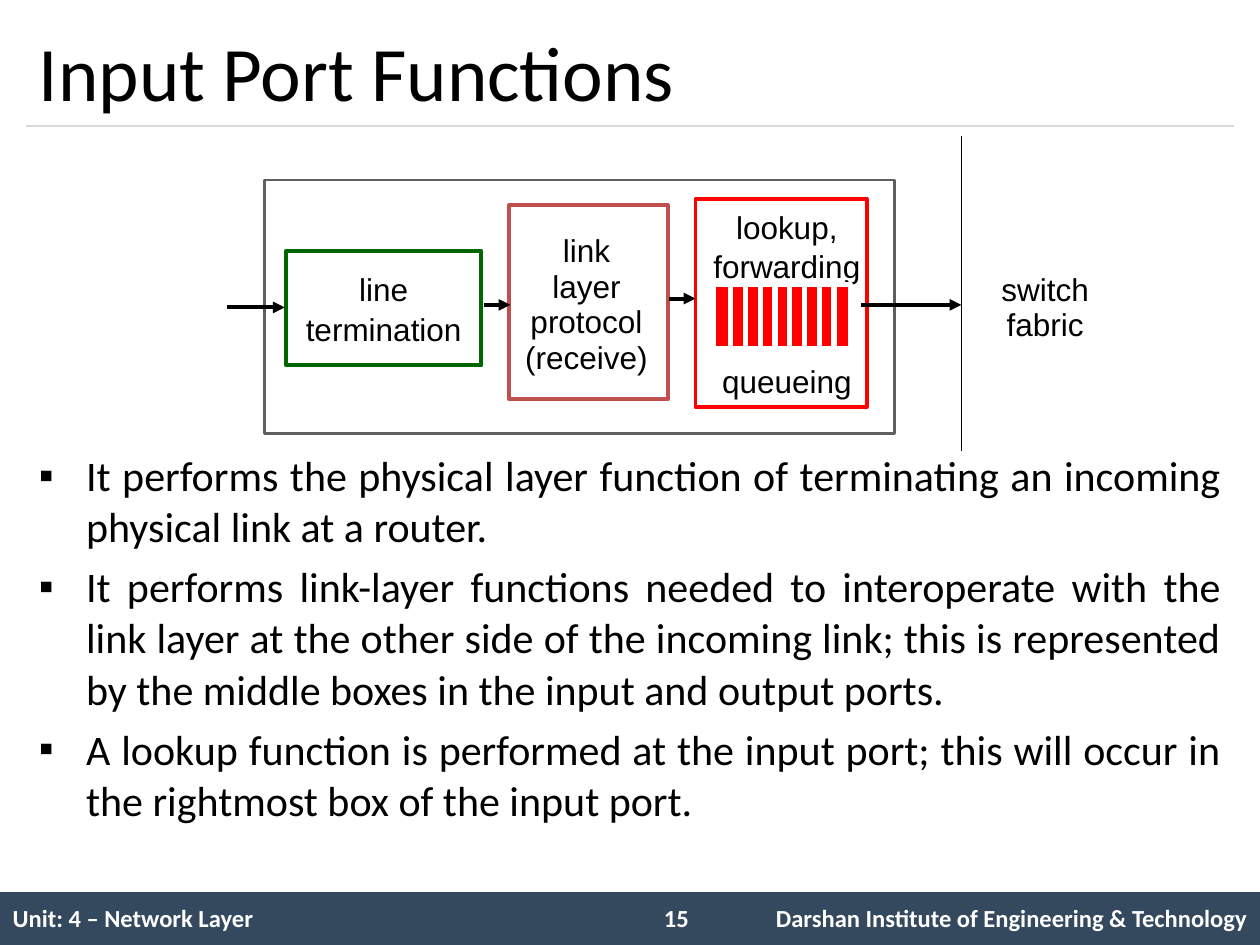
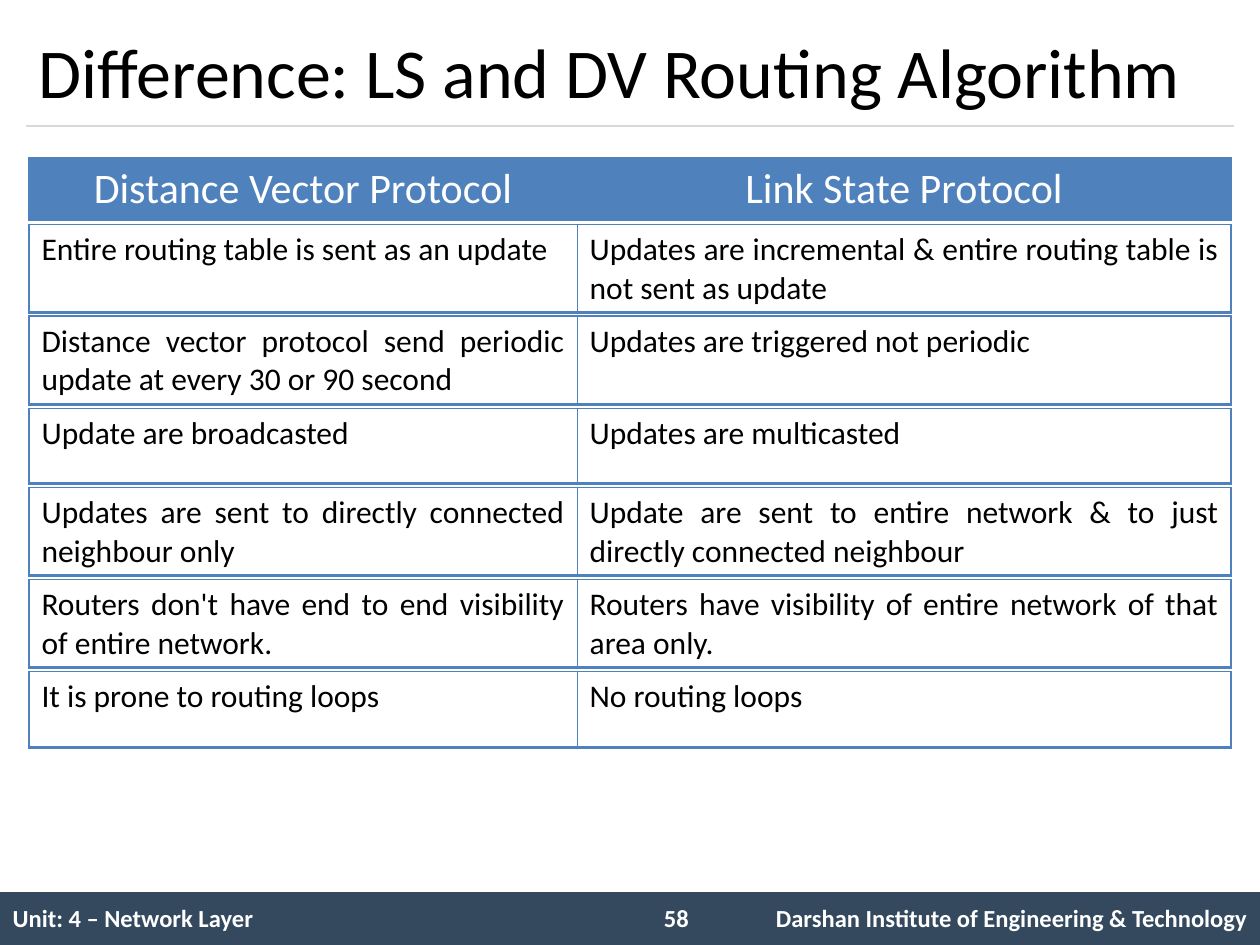
from lxml.etree import SubElement
from pptx import Presentation
from pptx.dml.color import RGBColor
from pptx.enum.shapes import MSO_CONNECTOR, MSO_SHAPE
from pptx.enum.text import MSO_ANCHOR as ANCHOR, PP_ALIGN as ALIGN
from pptx.oxml.ns import qn
from pptx.util import Inches, Pt

# The slide is a grid of 100 columns by 75 rows
WIDTH, HEIGHT = Inches(10), Inches(7.5)
COLS, ROWS = 100, 75

COLORS = {
    "black": "000000", "white": "FFFFFF", "rule": "D9D9D9", "band": "34495E",
    "port": "5F5F5F", "green": "006600", "brick": "C0504D", "red": "FF0000",
    "blue": "4F81BD",
}
HEADING, DIAGRAM = "Calibri", "Arial"
NO_STYLE = "{2D5ABB26-0587-4C30-8999-92F81FD0307C}"

BULLETS = [
    "It performs the physical layer function of terminating an incoming physical link at a router.",
    "It performs link-layer functions needed to interoperate with the link layer at the other side "
    "of the incoming link; this is represented by the middle boxes in the input and output ports.",
    "A lookup function is performed at the input port; this will occur in the rightmost box "
    "of the input port.",
]
PROTOCOLS = ["Distance Vector Protocol", "Link State Protocol"]
# Row height, then the two texts
DIFFERENCES = [
    (7, "Entire routing table is sent as an update",
     "Updates are incremental & entire routing table is not sent as update"),
    (7, "Distance vector protocol send periodic update at every 30 or 90 second",
     "Updates are triggered not periodic"),
    (6, "Update are broadcasted", "Updates are multicasted"),
    (7, "Updates are sent to directly connected neighbour only",
     "Update are sent to entire network & to just directly connected neighbour"),
    (7, "Routers don't have end to end visibility of entire network.",
     "Routers have visibility of entire network of that area only."),
    (6, "It is prone to routing loops", "No routing loops"),
]


def rgb(name):
    return RGBColor.from_string(COLORS[name])


def col(n):
    return round(WIDTH * n / COLS)


def row(n):
    return round(HEIGHT * n / ROWS)


def place(x, y, w, h):
    return col(x), row(y), col(w), row(h)


# Text
def write(tf, lines, size, font=HEADING, color="black", bold=False,
          align=ALIGN.LEFT, spacing=None, bullet=None, gaps=None):
    """Write one paragraph per line; gaps maps a line number to its space before."""
    for i, line in enumerate(lines):
        p = tf.paragraphs[0] if i == 0 else tf.add_paragraph()
        p.alignment = align
        if spacing:
            p.line_spacing = spacing
        if gaps and i in gaps:
            p.space_before = Pt(gaps[i])
        if bullet:
            pPr = p._p.get_or_add_pPr()
            pPr.set("marL", str(col(3.75)))
            pPr.set("indent", str(-col(3.75)))
            SubElement(pPr, qn("a:buFont"), typeface=DIAGRAM)
            SubElement(pPr, qn("a:buChar"), char=bullet)
        r = p.add_run()
        r.text = line
        r.font.name, r.font.size, r.font.bold = font, Pt(size), bold
        r.font.color.rgb = rgb(color)


def text_box(s, x, y, w, h, lines, size, anchor=ANCHOR.TOP, wrap=True, **style):
    tf = s.shapes.add_textbox(*place(x, y, w, h)).text_frame
    tf.word_wrap, tf.vertical_anchor = wrap, anchor
    write(tf, lines, size, **style)


# Shapes and lines
def box(s, x, y, w, h, fill="white", line=None, weight=2.25, lines=(), spacing=None):
    sp = s.shapes.add_shape(MSO_SHAPE.RECTANGLE, *place(x, y, w, h))
    sp.shadow.inherit = False
    sp.fill.solid()
    sp.fill.fore_color.rgb = rgb(fill)
    if line:
        sp.line.color.rgb = rgb(line)
        sp.line.width = Pt(weight)
    else:
        sp.line.fill.background()
    if lines:
        tf = sp.text_frame
        tf.word_wrap, tf.vertical_anchor = False, ANCHOR.MIDDLE
        write(tf, lines, 18, DIAGRAM, align=ALIGN.CENTER, spacing=spacing)


def rule(s, x1, y1, x2, y2, color="black", weight=0.75, arrow=False):
    c = s.shapes.add_connector(MSO_CONNECTOR.STRAIGHT, col(x1), row(y1), col(x2), row(y2))
    c.line.color.rgb = rgb(color)
    c.line.width = Pt(weight)
    if arrow:
        SubElement(c.line._get_or_add_ln(), qn("a:tailEnd"), type="triangle")
    SubElement(c._element.spPr, qn("a:effectLst"))


# Tables
def border(cell, **edges):
    tcPr = cell._tc.get_or_add_tcPr()
    for side in "LRTB":
        if side in edges:
            ln = SubElement(tcPr, qn("a:ln" + side), w=str(Pt(edges[side])))
            SubElement(SubElement(ln, qn("a:solidFill")), qn("a:srgbClr"), val=COLORS["blue"])


def one_row_table(s, x, y, h, widths):
    table = s.shapes.add_table(1, len(widths), *place(x, y, sum(widths), h)).table
    table.first_row = table.horz_banding = False
    table._tbl.tblPr.find(qn("a:tableStyleId")).text = NO_STYLE
    for column, width in zip(table.columns, widths):
        column.width = col(width)
    return table


def pair(s, y, h, texts, header=False):
    """One framed line of the comparison, two cells wide."""
    cells = one_row_table(s, 2.3, y, h, [43.5, 51.9]).rows[0].cells
    bottom = 1 if header else 2
    border(cells[0], L=1, R=0.5, T=1, B=bottom)
    border(cells[1], R=1, T=1, B=bottom)
    for cell, text in zip(cells, texts):
        if header:
            cell.fill.solid()
            cell.fill.fore_color.rgb = rgb("blue")
            write(cell.text_frame, [text], 24, color="white", align=ALIGN.CENTER)
        else:
            cell.fill.background()
            write(cell.text_frame, [text], 18, align=ALIGN.JUSTIFY)


# Frame shared by all slides
def new_slide(prs, title, number, size=44):
    s = prs.slides.add_slide(prs.slide_layouts[6])
    label = dict(size=14, color="white", bold=True)
    box(s, 0, 70.8, COLS, 4.2, "band")
    rule(s, 2.1, 10, 97.9, 10, "rule")
    cells = one_row_table(s, 0, 70.8, 4.3, [50.8, 6.7, 42.5]).rows[0].cells
    for cell in cells:
        cell.fill.background()
        cell.vertical_anchor = ANCHOR.MIDDLE
    write(cells[0].text_frame, ["Unit: 4 – Network Layer"], **label)
    write(cells[2].text_frame, ["Darshan Institute of Engineering & Technology"],
          align=ALIGN.RIGHT, **label)
    text_box(s, 51.7, 71.2, 5.8, 3.4, [str(number)], **label)
    text_box(s, 2.1, 1.2, 95.8, 8.8, [title], size, ANCHOR.MIDDLE)
    return s


def queue(s, x, y, w, h, slots):
    box(s, x, y, w, h, "red", "white", 3)
    step = 1.17
    for i in range(slots - 1):
        slot_x = x + 1.4 + i * step
        rule(s, slot_x, y + 0.1, slot_x, y + h - 0.1, "white", 3)


def input_port_slide(prs):
    s = new_slide(prs, "Input Port Functions", 15)
    text_box(s, 2.1, 35.1, 95.8, 34, BULLETS, 24, align=ALIGN.JUSTIFY,
             spacing=1.02, bullet="▪", gaps={1: 4.8, 2: 4.8})

    # Port and its three stages
    box(s, 21, 14.3, 50, 20.1, line="port", weight=1.5)
    box(s, 22.7, 19.9, 15.5, 9.1, line="green", lines=["line", "termination"], spacing=1.04)
    box(s, 40.4, 16.3, 12.6, 15.4, line="brick")
    box(s, 55.2, 15.8, 13.6, 16.5, line="red")
    for x1, x2, y in [(18, 22.6, 24.4), (38.4, 40.5, 24.2),
                      (53.1, 55.2, 23.7), (68.3, 76.3, 24.2)]:
        rule(s, x1, y, x2, y, weight=2.25, arrow=True)

    # Stage labels and switch fabric
    box(s, 40.8, 19.7, 11.5, 9.1, lines=["link", "layer", "protocol", "(receive)"], spacing=0.94)
    text_box(s, 55.6, 15.9, 13.7, 16, ["lookup,", "forwarding", "queueing"], 18, wrap=False,
             font=DIAGRAM, align=ALIGN.CENTER, spacing=1.04, gaps={2: 43})
    rule(s, 76.3, 10.8, 76.3, 35.8)
    box(s, 77.2, 19.9, 11.5, 9.1, lines=["switch", "fabric"], spacing=0.94)
    queue(s, 56.6, 22.6, 10.9, 5.1, slots=9)


def comparison_slide(prs):
    s = new_slide(prs, "Difference: LS and DV Routing Algorithm", 58, size=40)
    y, h, gap = 12.5, 5, 0.3
    pair(s, y, h, PROTOCOLS, header=True)
    for next_h, *texts in DIFFERENCES:
        y += h + gap
        h = next_h
        pair(s, y, h, texts)


def main():
    prs = Presentation()
    prs.slide_width, prs.slide_height = WIDTH, HEIGHT
    input_port_slide(prs)
    comparison_slide(prs)
    prs.save("out.pptx")


if __name__ == "__main__":
    main()
